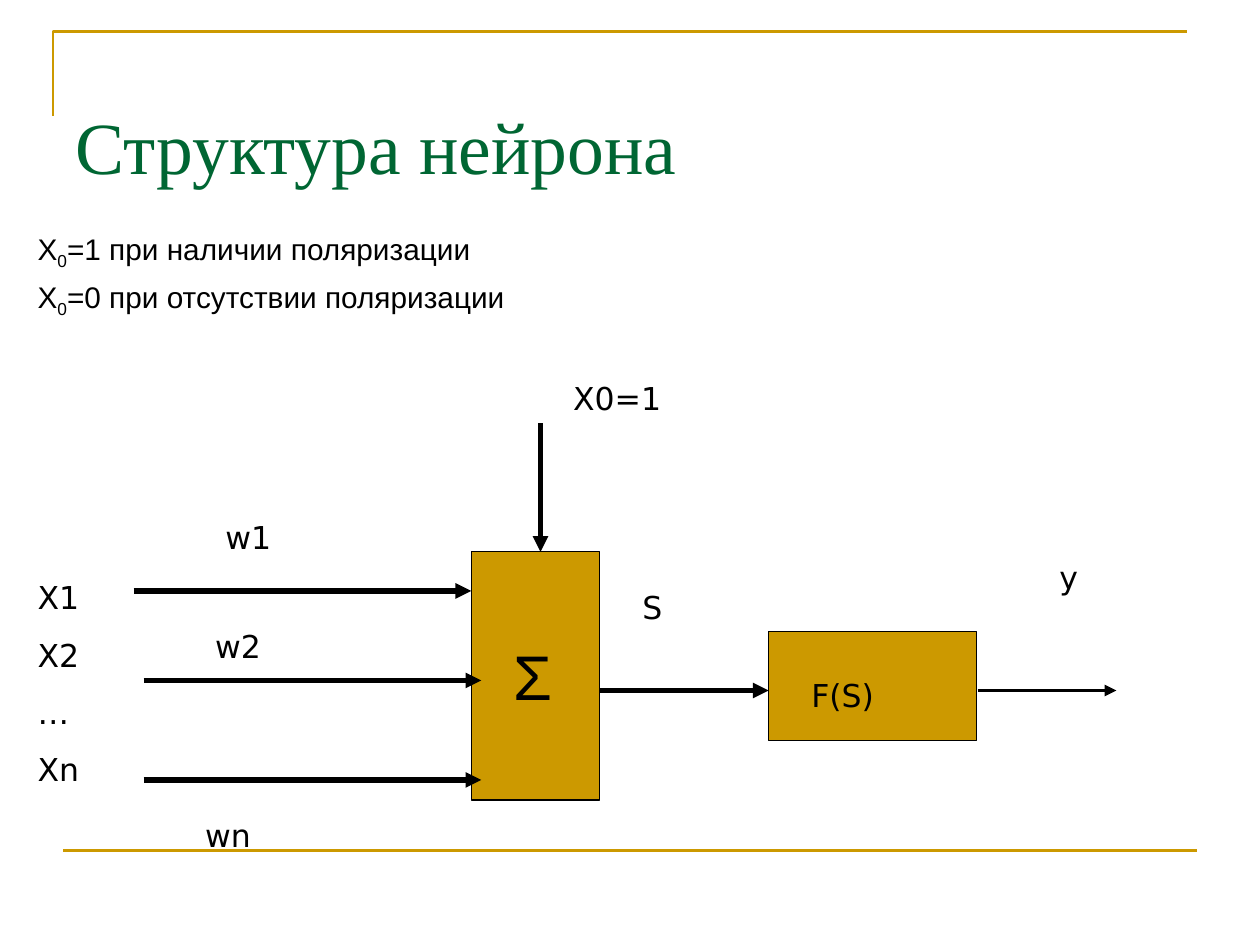
from dataclasses import dataclass

from lxml import etree
from pptx import Presentation
from pptx import util as u
from pptx.dml.color import RGBColor
from pptx.enum import shapes, text
from pptx.oxml.ns import qn

GOLD = "CC9900"
GREEN = "006633"
BLACK = "000000"
SIGNAL_Y = 5.48


@dataclass
class Block:
    left: float
    top: float
    width: float
    height: float


@dataclass
class Line:
    start: tuple[float, float]
    end: tuple[float, float]
    weight: float = 3
    color: str = BLACK
    arrow: bool = True


@dataclass
class Label:
    lines: list[str]
    left: float
    top: float
    width: float
    height: float = 0.4
    size: float = 18
    font: str = "DejaVu Sans"


def rgb(value: str) -> RGBColor:
    return RGBColor.from_string(value)


def add_span(para, content: str, size: float, font: str, color: str = BLACK):
    span = para.add_run()
    span.text = content
    span.font.size = u.Pt(size)
    span.font.name = font
    span.font.color.rgb = rgb(color)
    return span


def add_box(page, left: float, top: float, width: float, height: float):
    box = page.shapes.add_textbox(
        u.Inches(left), u.Inches(top), u.Inches(width), u.Inches(height)
    )
    box.text_frame.word_wrap = True
    return box


def next_para(frame, index: int, gap: float):
    if index == 0:
        return frame.paragraphs[0]
    para = frame.add_paragraph()
    para.space_before = u.Pt(gap)
    return para


def draw_title(page) -> None:
    title = page.shapes.title
    title.left, title.top = u.Inches(0.5), u.Inches(0.3)
    title.width, title.height = u.Inches(9), u.Inches(1.25)
    title.text_frame.vertical_anchor = text.MSO_ANCHOR.BOTTOM
    para = title.text_frame.paragraphs[0]
    para.alignment = text.PP_ALIGN.LEFT
    add_span(para, "Структура нейрона", 42, "Times New Roman", GREEN)


def draw_corner(page) -> None:
    builder = page.shapes.build_freeform(
        u.Inches(0.42), u.Inches(0.92), scale=1.0
    )
    points = [(0.42, 0.25), (9.42, 0.25)]
    builder.add_line_segments(
        [(u.Inches(x), u.Inches(y)) for x, y in points], close=False
    )
    corner = builder.convert_to_shape()
    corner.shadow.inherit = False
    corner.fill.background()
    corner.line.color.rgb = rgb(GOLD)
    corner.line.width = u.Pt(1.5)


def draw_conditions(page) -> None:
    frame = add_box(page, 0.2, 1.78, 9.53, 0.9).text_frame
    conditions = ["=1 при наличии поляризации", "=0 при отсутствии поляризации"]
    for index, condition in enumerate(conditions):
        para = next_para(frame, index, 4.2)
        add_span(para, "Х", 17, "Arial")
        subscript = add_span(para, "0", 17, "Arial")
        subscript.font._element.set("baseline", "-25000")
        add_span(para, condition, 17, "Arial")


def draw_block(page, block: Block) -> None:
    shape = page.shapes.add_shape(
        shapes.MSO_SHAPE.RECTANGLE,
        u.Inches(block.left),
        u.Inches(block.top),
        u.Inches(block.width),
        u.Inches(block.height),
    )
    shape.shadow.inherit = False
    shape.fill.solid()
    shape.fill.fore_color.rgb = rgb(GOLD)
    shape.line.color.rgb = rgb(BLACK)
    shape.line.width = u.Pt(0.75)


def draw_line(page, line: Line) -> None:
    connector = page.shapes.add_connector(
        shapes.MSO_CONNECTOR.STRAIGHT,
        *(u.Inches(value) for value in line.start + line.end),
    )
    connector.line.color.rgb = rgb(line.color)
    connector.line.width = u.Pt(line.weight)
    if line.arrow:
        outline = connector.line._get_or_add_ln()
        etree.SubElement(outline, qn("a:tailEnd"), type="triangle")
    etree.SubElement(connector._element.spPr, qn("a:effectLst"))


def draw_label(page, label: Label) -> None:
    frame = add_box(
        page, label.left, label.top, label.width, label.height
    ).text_frame
    for index, content in enumerate(label.lines):
        para = next_para(frame, index, 11.2)
        add_span(para, content, label.size, label.font)


def main() -> None:
    deck = Presentation()
    deck.slide_width, deck.slide_height = u.Inches(10), u.Inches(7.5)
    page = deck.slides.add_slide(deck.slide_layouts[5])

    blocks = [Block(3.74, 4.38, 1.02, 1.97), Block(6.1, 5.01, 1.65, 0.87)]
    inputs = [(1.06, 4.69), (1.14, 5.4), (1.14, 6.19)]
    lines = [Line((x, y), (x + 2.68, y)) for x, y in inputs] + [
        Line((4.29, 3.36), (4.29, 4.38)),
        Line((4.76, SIGNAL_Y), (6.1, SIGNAL_Y)),
        Line((7.76, SIGNAL_Y), (8.86, SIGNAL_Y), 2.25),
    ]
    labels = [
        Label(["Σ"], 3.98, 5.01, 0.63, 0.7, 36, "Arial"),
        Label(["Х1", "Х2", "…", "Хn"], 0.2, 4.54, 0.79, 1.77),
        Label(["Х0=1"], 4.45, 2.96, 1.02),
        Label(["F(S)"], 6.34, 5.32, 1.18),
        Label(["w1"], 1.69, 4.06, 0.94),
        Label(["w2"], 1.61, 4.93, 1.26),
        Label(["wn"], 1.53, 6.43, 1.42),
        Label(["S"], 5, 4.62, 0.63),
        Label(["y"], 8.31, 4.38, 0.79),
    ]

    draw_corner(page)
    draw_line(page, Line((0.5, 6.75), (9.5, 6.75), 1.5, GOLD, False))
    draw_title(page)
    draw_conditions(page)
    for block in blocks:
        draw_block(page, block)
    for line in lines:
        draw_line(page, line)
    for label in labels:
        draw_label(page, label)
    deck.save("out.pptx")


if __name__ == "__main__":
    main()
